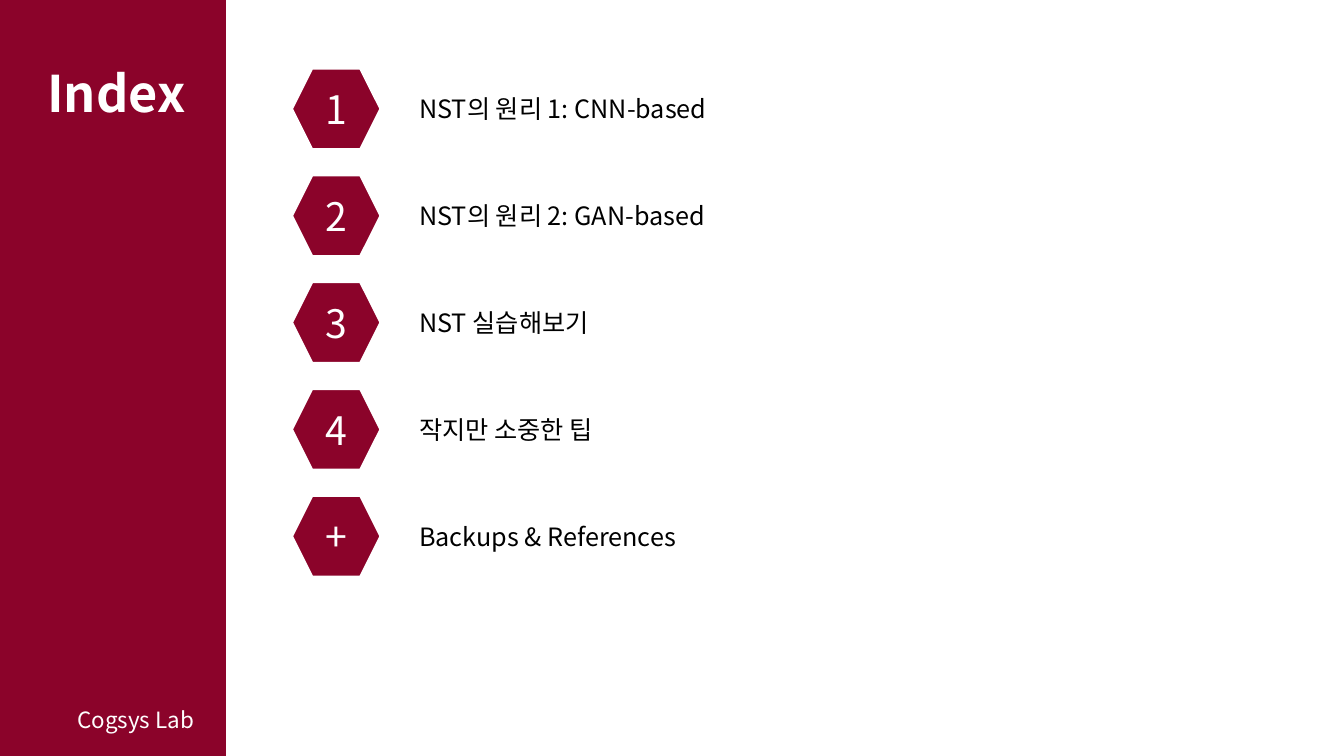
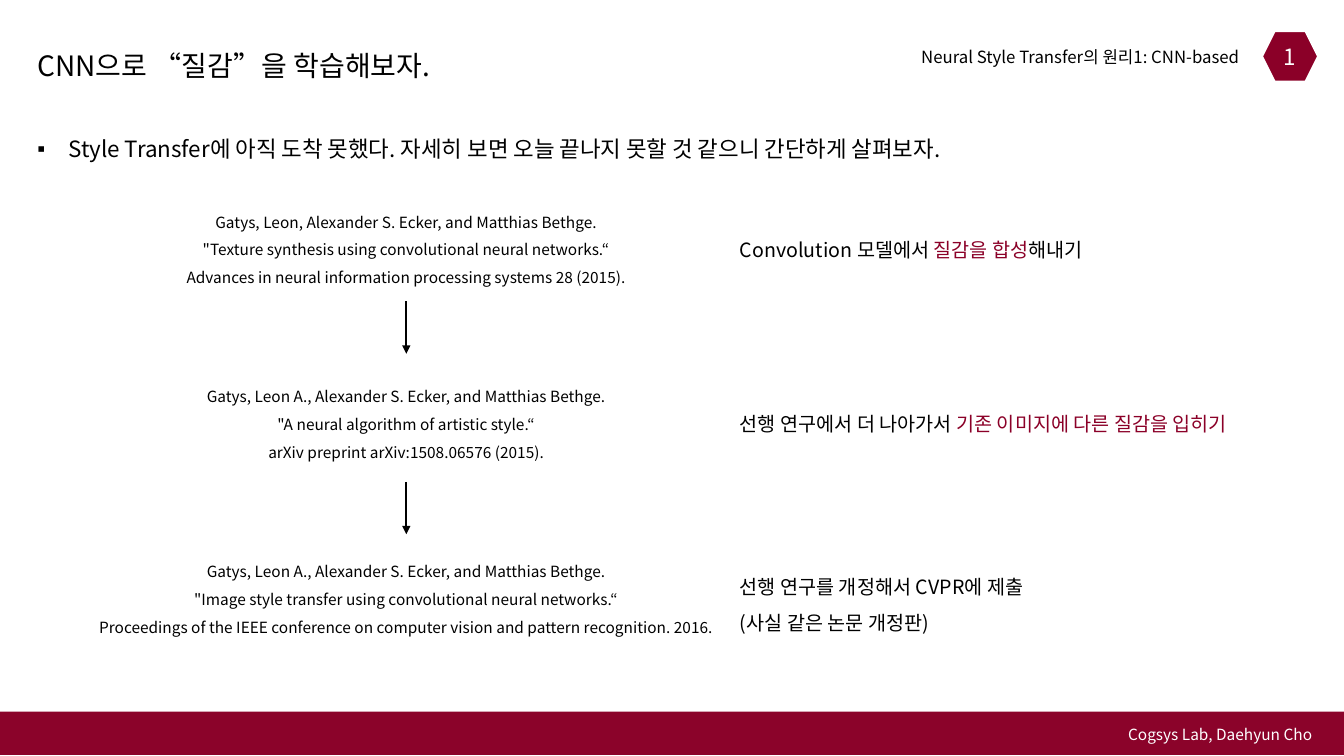
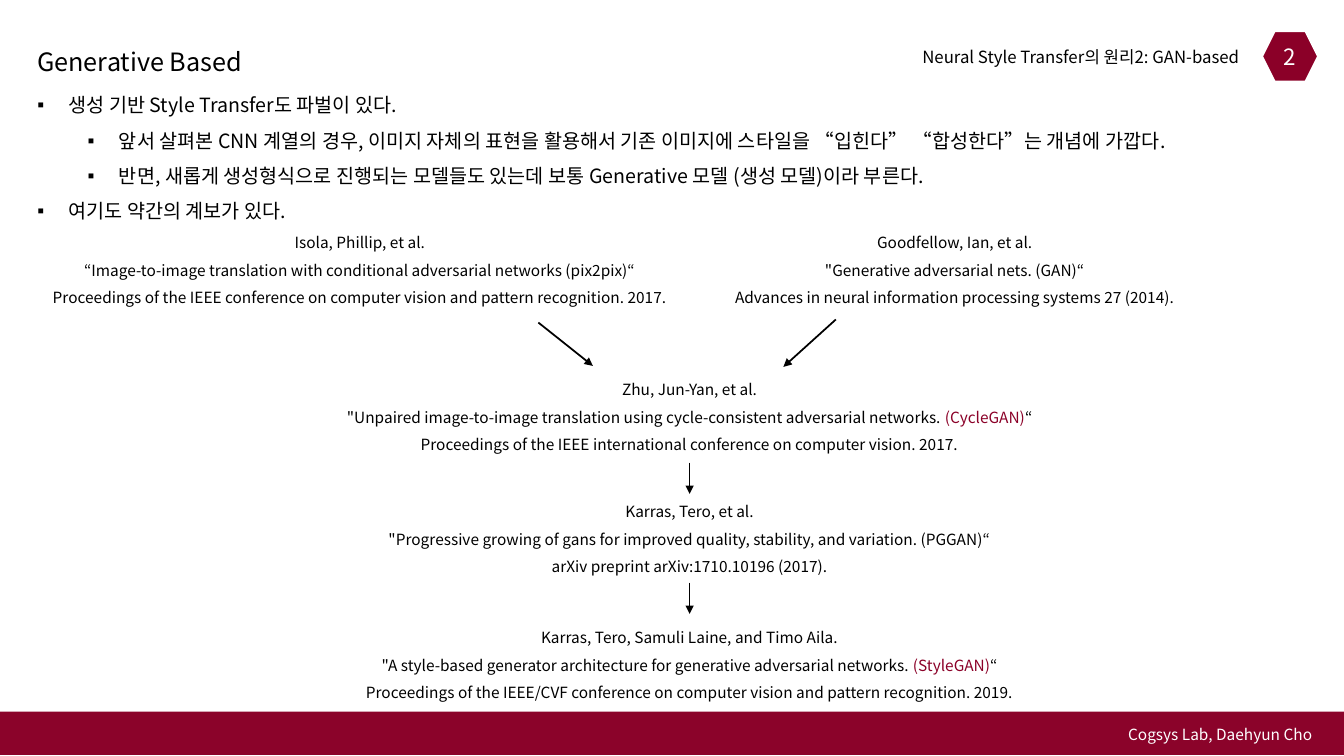
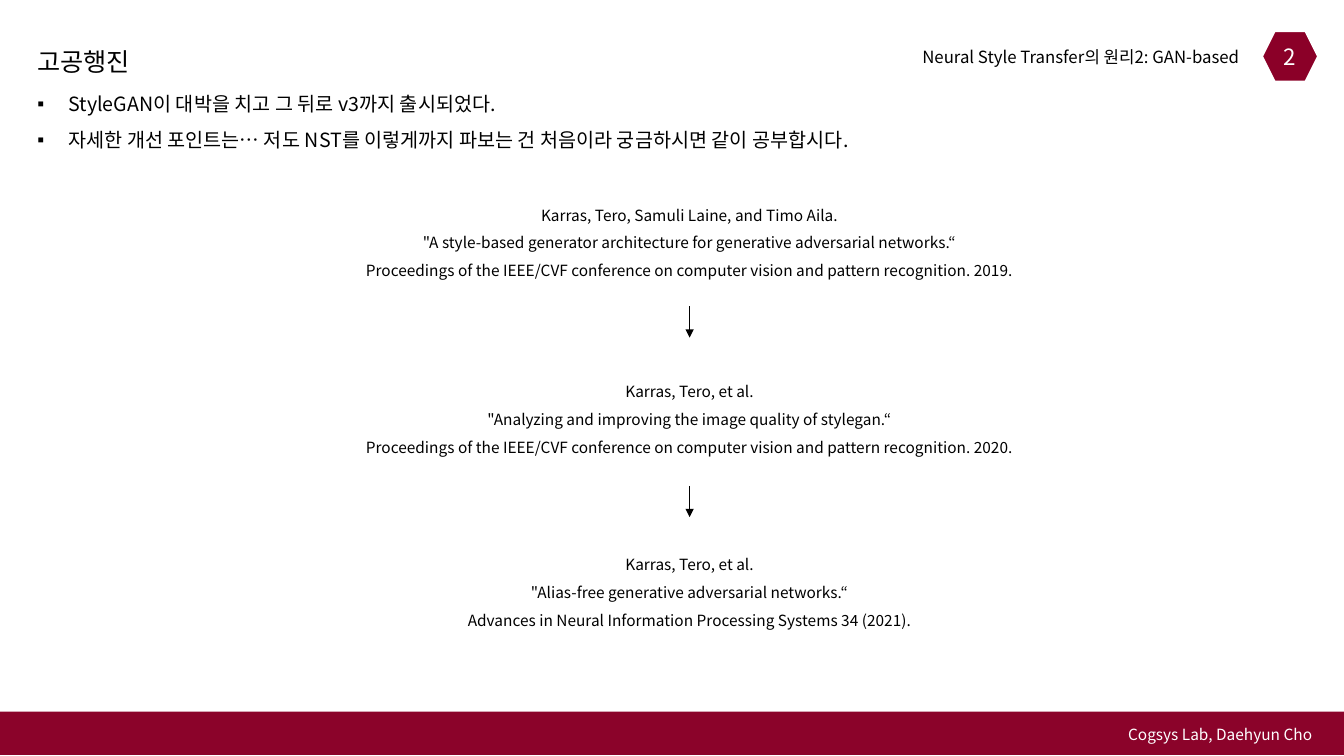
from dataclasses import dataclass

import pptx
import pptx.dml.color
import pptx.enum.shapes
import pptx.enum.text
import pptx.oxml.ns
import pptx.presentation
import pptx.shapes.autoshape
import pptx.slide
import pptx.text.text
import pptx.util
from lxml import etree

Inches = pptx.util.Inches
Pt = pptx.util.Pt
RGB = pptx.dml.color.RGBColor
qn = pptx.oxml.ns.qn
SHAPE = pptx.enum.shapes.MSO_SHAPE
ALIGN = pptx.enum.text.PP_ALIGN
ANCHOR = pptx.enum.text.MSO_ANCHOR


@dataclass(frozen=True)
class Theme:
    font: str = "Noto Sans CJK KR"
    wine: RGB = RGB(0x8B, 0x03, 0x2A)
    accent: RGB = RGB(0x8B, 0x00, 0x28)
    white: RGB = RGB(0xFF, 0xFF, 0xFF)
    black: RGB = RGB(0, 0, 0)
    index_title: int = 36
    index_number: int = 28
    index_item: int = 18
    lab: int = 16
    title: int = 18
    title_large: int = 20
    badge: int = 16
    body: int = 14
    body_large: int = 16
    section: int = 12
    small: int = 11


THEME = Theme()
WIDTH, HEIGHT = 13.33, 7.5
CITATION_WIDTH, CITATION_HEIGHT = 7.1, 0.91


@dataclass(frozen=True)
class Box:
    left: float
    top: float
    width: float
    height: float

    def lengths(self) -> tuple:
        return tuple(Inches(v) for v in (self.left, self.top, self.width, self.height))


@dataclass(frozen=True)
class Section:
    number: str
    name: str


@dataclass(frozen=True)
class Citation:
    center: float
    top: float
    lines: tuple[str, ...]


@dataclass(frozen=True)
class Note:
    top: float
    height: float
    lines: tuple[str, ...]


@dataclass(frozen=True)
class Arrow:
    x1: float
    y1: float
    x2: float
    y2: float


@dataclass(frozen=True)
class Bullet:
    text: str
    level: int = 0


CNN = Section("1", "Neural Style Transfer의 원리1: CNN-based")
GAN = Section("2", "Neural Style Transfer의 원리2: GAN-based")


def add_bullet(p: pptx.text.text._Paragraph, level: int) -> None:
    p.level = level
    pPr = p._p.get_or_add_pPr()
    pPr.set("marL", str(Inches(0.31 + 0.5 * level)))
    pPr.set("indent", str(Inches(-0.31)))
    etree.SubElement(pPr, qn("a:buChar")).set("char", "▪")


def write(tf: pptx.text.text.TextFrame, *lines: str | Bullet, size: int,
          color: RGB = THEME.black, bold: bool = False, align: ALIGN = ALIGN.LEFT,
          anchor: ANCHOR = ANCHOR.TOP, spacing: float = 1.0) -> None:
    """Fill a frame, one paragraph a line; text between asterisks is accented."""
    tf.word_wrap = True
    tf.auto_size = pptx.enum.text.MSO_AUTO_SIZE.NONE
    tf.vertical_anchor = anchor
    for i, line in enumerate(lines):
        p = tf.paragraphs[0] if i == 0 else tf.add_paragraph()
        p.alignment, p.line_spacing, p.space_before = align, spacing, Pt(0)
        if isinstance(line, Bullet):
            add_bullet(p, line.level)
        text = line.text if isinstance(line, Bullet) else line
        for j, part in enumerate(text.split("*")):
            if not part:
                continue
            r = p.add_run()
            r.text = part
            r.font.size, r.font.bold, r.font.name = Pt(size), bold, THEME.font
            r.font.color.rgb = THEME.accent if j % 2 else color
            etree.SubElement(r._r.get_or_add_rPr(), qn("a:ea")).set("typeface", THEME.font)


def add_text(s: pptx.slide.Slide, box: Box, *lines: str, **style) -> None:
    write(s.shapes.add_textbox(*box.lengths()).text_frame, *lines, **style)


def fill_placeholder(s: pptx.slide.Slide, idx: int, box: Box,
                     *lines: str | Bullet, **style) -> None:
    sp = s.placeholders[idx]
    sp.left, sp.top, sp.width, sp.height = box.lengths()
    write(sp.text_frame, *lines, **style)


def add_filled(s: pptx.slide.Slide, kind: SHAPE, box: Box,
               fill: RGB) -> pptx.shapes.autoshape.Shape:
    sp = s.shapes.add_shape(kind, *box.lengths())
    sp.shadow.inherit = False
    sp.fill.solid()
    sp.fill.fore_color.rgb = fill
    sp.line.fill.background()
    return sp


def add_hexagon(s: pptx.slide.Slide, box: Box, label: str, fill: RGB, size: int) -> None:
    sp = add_filled(s, SHAPE.HEXAGON, box, fill)
    sp.line.color.rgb = THEME.white
    sp.line.width = Pt(10)
    write(sp.text_frame, label, size=size, color=THEME.white,
          align=ALIGN.CENTER, anchor=ANCHOR.MIDDLE)


def add_arrow(s: pptx.slide.Slide, arrow: Arrow) -> None:
    ends = (Inches(v) for v in (arrow.x1, arrow.y1, arrow.x2, arrow.y2))
    cxn = s.shapes.add_connector(pptx.enum.shapes.MSO_CONNECTOR.STRAIGHT, *ends)
    cxn.line.color.rgb = THEME.black
    cxn.line.width = Pt(1.25)
    etree.SubElement(cxn.line._get_or_add_ln(), qn("a:tailEnd")).set("type", "triangle")
    etree.SubElement(cxn._element.spPr, qn("a:effectLst"))


def add_citation(s: pptx.slide.Slide, citation: Citation) -> None:
    box = Box(citation.center - CITATION_WIDTH / 2, citation.top,
              CITATION_WIDTH, CITATION_HEIGHT)
    add_text(s, box, *citation.lines, size=THEME.small, align=ALIGN.CENTER, spacing=1.5)


def add_content_slide(prs: pptx.presentation.Presentation, section: Section, title: str,
                      bullets: list[Bullet], body: Box, citations: list[Citation],
                      arrows: list[Arrow], title_size: int = THEME.title,
                      body_size: int = THEME.body) -> pptx.slide.Slide:
    s = prs.slides.add_slide(prs.slide_layouts[1])
    fill_placeholder(s, 0, Box(0.27, 0.26, 6.97, 0.55), title, size=title_size, spacing=1.5)
    fill_placeholder(s, 1, body, *bullets, size=body_size, spacing=1.5)
    add_filled(s, SHAPE.RECTANGLE, Box(0, 7.06, WIDTH, 0.43), THEME.wine)
    add_text(s, Box(11.09, 7.14, 2.15, 0.29), "Cogsys Lab, Daehyun Cho",
             size=THEME.small, color=THEME.white, anchor=ANCHOR.MIDDLE)
    add_text(s, Box(7.98, 0.41, 4.41, 0.3), section.name,
             size=THEME.section, align=ALIGN.RIGHT)
    add_hexagon(s, Box(12.45, 0.25, 0.69, 0.62), section.number, THEME.accent, THEME.badge)
    for citation in citations:
        add_citation(s, citation)
    for arrow in arrows:
        add_arrow(s, arrow)
    return s


def build_index(prs: pptx.presentation.Presentation) -> None:
    s = prs.slides.add_slide(prs.slide_layouts[5])
    # The band goes behind the title, which the layout has already placed.
    band = add_filled(s, SHAPE.RECTANGLE, Box(0, 0, 2.24, HEIGHT), THEME.wine)
    s.shapes.title._element.addprevious(band._element)
    fill_placeholder(s, 0, Box(0.22, 0.53, 1.87, 0.85), "Index", size=THEME.index_title,
                     color=THEME.white, bold=True, align=ALIGN.CENTER,
                     anchor=ANCHOR.MIDDLE, spacing=0.9)
    add_text(s, Box(0.67, 6.95, 1.57, 0.37), "Cogsys Lab", size=THEME.lab,
             color=THEME.white, anchor=ANCHOR.MIDDLE)
    items = [
        ("1", "NST의 원리 1: CNN-based"),
        ("2", "NST의 원리 2: GAN-based"),
        ("3", "NST 실습해보기"),
        ("4", "작지만 소중한 팁"),
        ("+", "Backups & References"),
    ]
    for i, (number, name) in enumerate(items):
        top = 0.62 + 1.06 * i
        add_hexagon(s, Box(2.83, top, 1.01, 0.92), number, THEME.wine, THEME.index_number)
        add_text(s, Box(4.06, top + 0.26, 4.19, 0.4), name, size=THEME.index_item)


def build_texture(prs: pptx.presentation.Presentation) -> None:
    x = 4.03
    s = add_content_slide(
        prs, CNN, "CNN으로 “질감”을 학습해보자.",
        [Bullet("Style Transfer에 아직 도착 못했다. 자세히 보면 오늘 끝나지 못할 것 같으니 간단하게 살펴보자.")],
        Box(0.27, 1.16, 12.18, 0.47),
        [
            Citation(x, 1.97, (
                "Gatys, Leon, Alexander S. Ecker, and Matthias Bethge.",
                '"Texture synthesis using convolutional neural networks.“',
                "Advances in neural information processing systems 28 (2015).")),
            Citation(x, 3.7, (
                "Gatys, Leon A., Alexander S. Ecker, and Matthias Bethge.",
                '"A neural algorithm of artistic style.“',
                "arXiv preprint arXiv:1508.06576 (2015).")),
            Citation(x, 5.44, (
                "Gatys, Leon A., Alexander S. Ecker, and Matthias Bethge.",
                '"Image style transfer using convolutional neural networks.“',
                "Proceedings of the IEEE conference on computer vision and pattern recognition. 2016.")),
        ],
        [Arrow(x, top, x, top + 0.52) for top in (2.99, 4.78)],
        title_size=THEME.title_large, body_size=THEME.body_large)
    notes = [
        Note(2.19, 0.42, ("Convolution 모델에서 *질감을 합성*해내기",)),
        Note(3.92, 0.42, ("선행 연구에서 더 나아가서 *기존 이미지에 다른 질감을 입히기*",)),
        Note(5.54, 0.77, ("선행 연구를 개정해서 CVPR에 제출", "(사실 같은 논문 개정판)")),
    ]
    for note in notes:
        add_text(s, Box(7.24, note.top, 6, note.height), *note.lines,
                 size=THEME.body, spacing=1.5)


def build_generative(prs: pptx.presentation.Presentation) -> None:
    x = 6.84
    add_content_slide(
        prs, GAN, "Generative Based",
        [
            Bullet("생성 기반 Style Transfer도 파벌이 있다."),
            Bullet("앞서 살펴본 CNN 계열의 경우, 이미지 자체의 표현을 활용해서 기존 이미지에 스타일을 “입힌다” “합성한다”는 개념에 가깝다.", 1),
            Bullet("반면, 새롭게 생성형식으로 진행되는 모델들도 있는데 보통 Generative 모델 (생성 모델)이라 부른다.", 1),
            Bullet("여기도 약간의 계보가 있다."),
        ],
        Box(0.27, 0.76, 12.18, 1.88),
        [
            Citation(3.57, 2.17, (
                "Isola, Phillip, et al.",
                "“Image-to-image translation with conditional adversarial networks (pix2pix)“",
                "Proceedings of the IEEE conference on computer vision and pattern recognition. 2017.")),
            Citation(9.47, 2.17, (
                "Goodfellow, Ian, et al.",
                '"Generative adversarial nets. (GAN)“',
                "Advances in neural information processing systems 27 (2014).")),
            Citation(x, 3.63, (
                "Zhu, Jun-Yan, et al.",
                '"Unpaired image-to-image translation using cycle-consistent adversarial networks. *(CycleGAN)*“',
                "Proceedings of the IEEE international conference on computer vision. 2017.")),
            Citation(x, 4.84, (
                "Karras, Tero, et al.",
                '"Progressive growing of gans for improved quality, stability, and variation. (PGGAN)“',
                "arXiv preprint arXiv:1710.10196 (2017).")),
            Citation(x, 6.09, (
                "Karras, Tero, Samuli Laine, and Timo Aila.",
                '"A style-based generator architecture for generative adversarial networks. *(StyleGAN)*“',
                "Proceedings of the IEEE/CVF conference on computer vision and pattern recognition. 2019.")),
        ],
        [Arrow(5.34, 3.2, 5.88, 3.63), Arrow(8.29, 3.17, 7.77, 3.64)]
        + [Arrow(x, top, x, top + 0.31) for top in (4.59, 5.78)])


def build_stylegan(prs: pptx.presentation.Presentation) -> None:
    x = 6.84
    add_content_slide(
        prs, GAN, "고공행진",
        [
            Bullet("StyleGAN이 대박을 치고 그 뒤로 v3까지 출시되었다."),
            Bullet("자세한 개선 포인트는… 저도 NST를 이렇게까지 파보는 건 처음이라 궁금하시면 같이 공부합시다."),
        ],
        Box(0.27, 0.75, 12.18, 1.13),
        [
            Citation(x, 1.9, (
                "Karras, Tero, Samuli Laine, and Timo Aila.",
                '"A style-based generator architecture for generative adversarial networks.“',
                "Proceedings of the IEEE/CVF conference on computer vision and pattern recognition. 2019.")),
            Citation(x, 3.65, (
                "Karras, Tero, et al.",
                '"Analyzing and improving the image quality of stylegan.“',
                "Proceedings of the IEEE/CVF conference on computer vision and pattern recognition. 2020.")),
            Citation(x, 5.37, (
                "Karras, Tero, et al.",
                '"Alias-free generative adversarial networks.“',
                "Advances in Neural Information Processing Systems 34 (2021).")),
        ],
        [Arrow(x, top, x, top + 0.31) for top in (3.04, 4.82)])


def main() -> None:
    prs = pptx.Presentation()
    prs.slide_width, prs.slide_height = Inches(WIDTH), Inches(HEIGHT)
    build_index(prs)
    build_texture(prs)
    build_generative(prs)
    build_stylegan(prs)
    prs.save("out.pptx")


if __name__ == "__main__":
    main()
